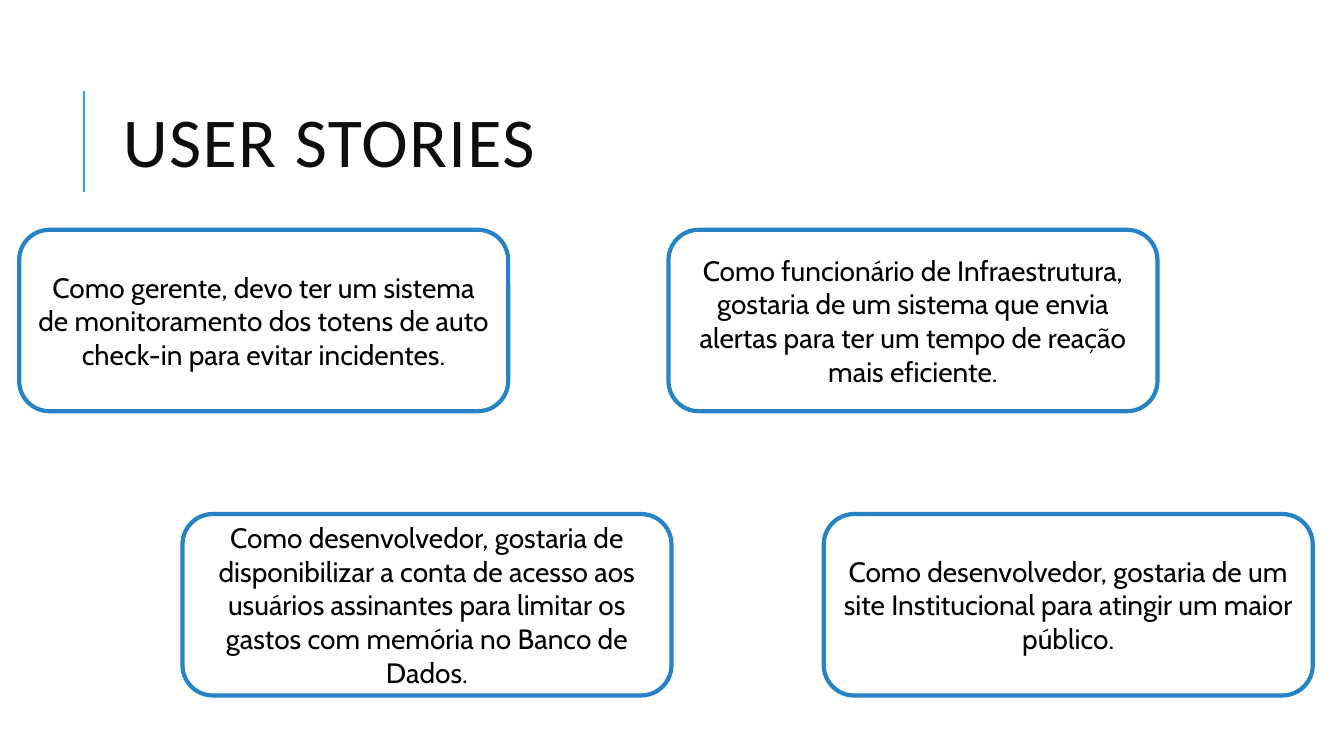
from lxml import etree
from pptx import Presentation
from pptx.dml.color import RGBColor
from pptx.enum.shapes import MSO_CONNECTOR, MSO_SHAPE
from pptx.enum.text import MSO_ANCHOR, PP_ALIGN
from pptx.oxml.ns import qn
from pptx.util import Inches, Pt

STRAIGHT = MSO_CONNECTOR.STRAIGHT
ROUNDED = MSO_SHAPE.ROUNDED_RECTANGLE
MIDDLE = MSO_ANCHOR.MIDDLE
LEFT, CENTER = PP_ALIGN.LEFT, PP_ALIGN.CENTER

COLORS = {"accent": "1CADE4", "border": "2683C6", "title": "0D0D0D", "text": "000000"}
CARD_WIDTH, CARD_HEIGHT = 4.85, 1.8
TOP_ROW, BOTTOM_ROW = 2.28, 5.1
STORIES = [
    (0.19, TOP_ROW, "Como gerente, devo ter um sistema de monitoramento dos totens "
                    "de auto check-in para evitar incidentes."),
    (6.63, TOP_ROW, "Como funcionário de Infraestrutura, gostaria de um sistema que "
                    "envia alertas para ter um tempo de reação mais eficiente."),
    (1.81, BOTTOM_ROW, "Como desenvolvedor, gostaria de disponibilizar a conta de acesso "
                       "aos usuários assinantes para limitar os gastos com memória no "
                       "Banco de Dados."),
    (8.17, BOTTOM_ROW, "Como desenvolvedor, gostaria de um site Institucional para "
                       "atingir um maior público."),
]


def color(name):
    """Return the named colour."""
    return RGBColor.from_string(COLORS[name])


def write(box, text, *, font, size, fill, align=LEFT, line_spacing=None, tracking=None):
    """Put one formatted paragraph, vertically centred, in a box."""
    frame = box.text_frame
    frame.word_wrap = True
    frame.vertical_anchor = MIDDLE
    para = frame.paragraphs[0]
    para.alignment = align
    para.line_spacing = line_spacing
    span = para.add_run()
    span.text = text
    span.font.name = font
    span.font.size = Pt(size)
    span.font.color.rgb = color(fill)
    if tracking:
        span.font._element.set("spc", str(tracking * 100))


def add_accent_line(page):
    """Draw the vertical line beside the title."""
    line = page.shapes.add_connector(
        STRAIGHT, Inches(0.83), Inches(1.9), Inches(0.83), Inches(0.9))
    line.line.color.rgb = color("accent")
    line.line.width = Pt(1.5)
    etree.SubElement(line._element.spPr, qn("a:effectLst"))


def add_title(page, text):
    """Add the slide title."""
    box = page.shapes.add_textbox(Inches(1.12), Inches(0.64), Inches(10.63), Inches(1.64))
    write(box, text, font="Calibri", size=50, fill="title", line_spacing=0.8, tracking=1)


def add_story(page, left, top, text):
    """Add a rounded card holding one user story."""
    card = page.shapes.add_shape(
        ROUNDED, Inches(left), Inches(top), Inches(CARD_WIDTH), Inches(CARD_HEIGHT))
    card.shadow.inherit = False
    card.fill.background()
    card.line.color.rgb = color("border")
    card.line.width = Pt(3)
    write(card, text, font="Cabin", size=20, fill="text", align=CENTER)


def main():
    """Build the user stories slide and save it."""
    deck = Presentation()
    deck.slide_width, deck.slide_height = Inches(13.33), Inches(7.5)
    page = deck.slides.add_slide(deck.slide_layouts[6])
    add_accent_line(page)
    add_title(page, "USER STORIES")
    for left, top, text in STORIES:
        add_story(page, left, top, text)
    deck.save("out.pptx")


if __name__ == "__main__":
    main()
